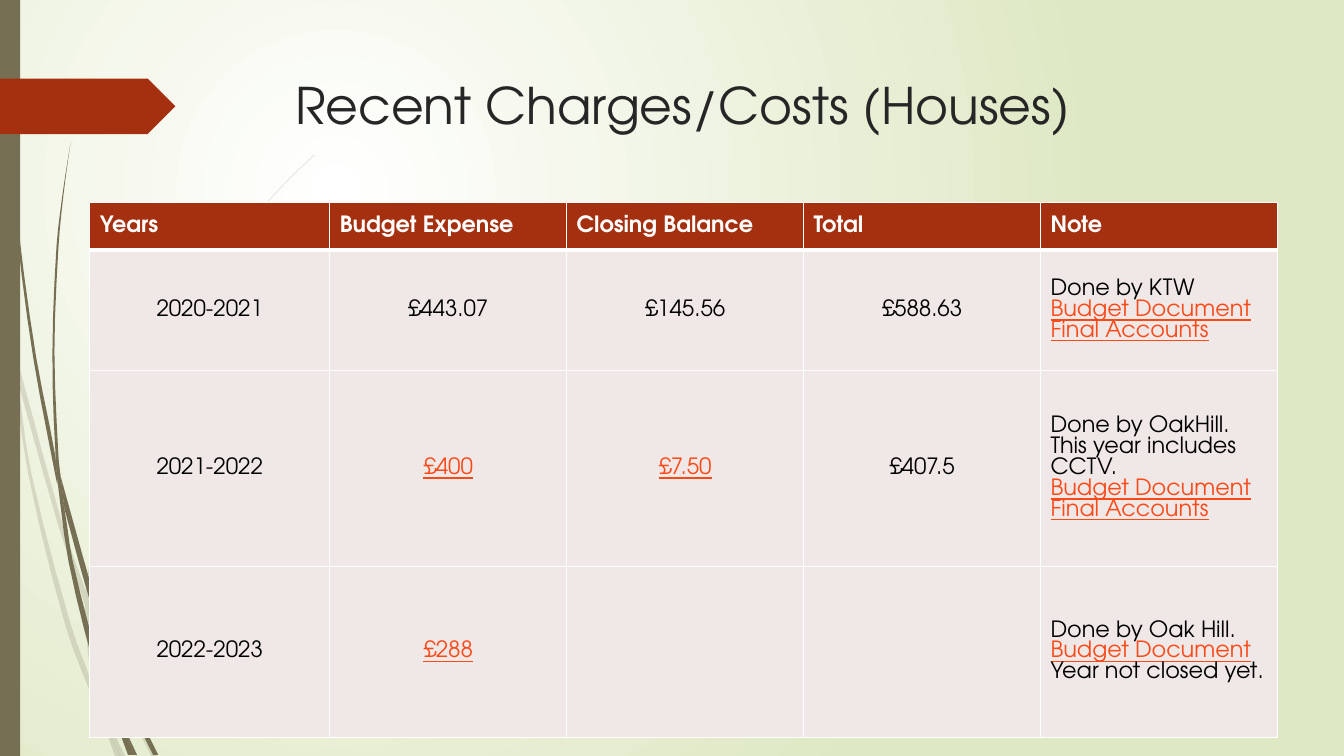
import math

import pptx
import pptx.dml.color
import pptx.enum.shapes
import pptx.enum.text
import pptx.oxml
import pptx.oxml.ns
import pptx.util
from pptx.util import Inches

FONT = "TeX Gyre Adventor"
COLORS = {
    "white": "FFFFFF", "green": "DFE8C4", "olive": "766F54", "rust": "A53010",
    "title": "262626", "text": "000000", "link": "FB4A18", "cell": "F0E8E7",
}
HEADERS = ["Years", "Budget Expense", "Closing Balance", "Total", "Note"]
# A leading underscore marks underlined text
ROWS = [
    ["2020-2021", "£443.07", "£145.56", "£588.63",
     "Done by KTW\n_Budget Document\n_Final Accounts"],
    ["2021-2022", "_£400", "_£7.50", "£407.5",
     "Done by OakHill. This year includes CCTV.\n_Budget Document\n_Final Accounts"],
    ["2022-2023", "_£288", "", "",
     "Done by Oak Hill.\n_Budget Document\nYear not closed yet."],
]
# Each blade of grass is a pair of smooth edges: out to the tip, and back
PALE_BLADES = [
    ([(.11, 3.5), (.09, 3.22), (0, 2.82)], [(0, 2.99), (.1, 3.44)]),
    ([(.14, 3.45), (.62, 5.2), (.85, 5.86)], [(.84, 5.99), (.58, 5.22), (.17, 3.76)]),
    ([(.88, 5.96), (.92, 6.07), (1.27, 6.92), (1.55, 7.5)],
     [(1.5, 7.5), (1.23, 6.94), (.88, 6.1)]),
    ([(1.05, 7.11), (1.24, 7.5)], [(1.19, 7.5), (1.05, 7.11)]),
    ([(.11, 3.5), (.17, 3.76), (.31, 4.69), (.7, 6.19), (.93, 6.83), (1.01, 7.14)],
     [(1.01, 7.14), (.92, 6.93), (.65, 6.21), (.28, 4.7), (.11, 3.5)]),
    ([(.84, 5.99), (.88, 6.1), (.91, 6.46), (1.03, 7.06), (1.05, 7.11)],
     [(1.05, 7.11), (.96, 6.92), (.93, 6.83), (.87, 6.46), (.84, 5.99)]),
    ([(.85, 5.86), (.85, 5.84), (1.07, 4.61), (1.58, 3.48), (2.28, 2.44),
      (2.68, 1.97), (2.89, 1.75), (3.12, 1.53)],
     [(3.12, 1.54), (2.9, 1.75), (2.68, 1.98), (2.29, 2.45), (1.6, 3.49),
      (1.1, 4.62), (.88, 5.84), (.88, 5.96)]),
    ([(1.01, 7.14), (1.14, 7.5)], [(1.19, 7.5), (1.01, 7.14)]),
    ([(.88, 6.1), (.88, 5.96), (.85, 5.86)], [(.84, 5.99), (.88, 6.08)]),
    ([(.93, 6.83), (.99, 7.07), (1.01, 7.14), (1.19, 7.5)],
     [(1.19, 7.5), (1.05, 7.11), (.96, 6.92), (.93, 6.83)]),
]
DARK_BLADES = [
    ([(.03, 0), (.04, .48), (.07, 1.1), (.17, 2.33), (.33, 3.55), (.56, 4.77), (.57, 4.81)],
     [(.57, 4.81), (.55, 4.53), (.36, 3.55), (.19, 2.32), (.08, 1.09), (.05, .48), (.04, 0)]),
    ([(.6, 4.72), (.93, 5.9), (1.06, 6.31)], [(1.06, 6.45), (.88, 5.92), (.64, 5.05)]),
    ([(1.1, 6.41), (1.13, 6.49), (1.36, 7.06), (1.57, 7.49)],
     [(1.52, 7.49), (1.32, 7.08), (1.11, 6.56)]),
    ([(.57, 4.77), (.64, 5.05), (.72, 5.56), (.98, 6.57), (1.1, 6.91), (1.17, 7.22)],
     [(1.17, 7.22), (1.11, 7.08), (.93, 6.59), (.68, 5.57), (.57, 4.77)]),
    ([(.6, 4.72), (.55, 4.49), (.52, 3.49), (.56, 2.45), (.62, 1.93), (.7, 1.41)],
     [(.7, 1.41), (.63, 1.93), (.58, 2.45), (.54, 3.49), (.58, 4.53), (.6, 4.72)]),
    ([(1.22, 7.19), (1.36, 7.49)], [(1.33, 7.49), (1.22, 7.19)]),
    ([(.55, 4.49), (.6, 4.72), (.64, 5.05)], [(.64, 5.05), (.57, 4.77), (.55, 4.49)]),
    ([(1.06, 6.31), (1.22, 5.51), (1.56, 4.74), (2.04, 4.05), (2.31, 3.73), (2.6, 3.44)],
     [(2.61, 3.44), (2.31, 3.74), (2.05, 4.06), (1.58, 4.76), (1.25, 5.52),
      (1.11, 6.33), (1.1, 6.41)]),
    ([(1.17, 7.22), (1.27, 7.49)], [(1.31, 7.49), (1.17, 7.22)]),
    ([(1.06, 6.45), (1.11, 6.56), (1.21, 7.16), (1.22, 7.19)],
     [(1.22, 7.19), (1.16, 7.06), (1.1, 6.91), (1.06, 6.45)]),
    ([(1.06, 6.45), (1.11, 6.56), (1.1, 6.41)], [(1.1, 6.41), (1.06, 6.31)]),
    ([(1.1, 6.91), (1.16, 7.06), (1.22, 7.19), (1.33, 7.49)],
     [(1.3, 7.49), (1.17, 7.22), (1.1, 6.91)]),
]


def color(name):
    return pptx.dml.color.RGBColor.from_string(COLORS[name])


def paint(shape, name):
    shape.shadow.inherit = False
    shape.fill.solid()
    shape.fill.fore_color.rgb = color(name)
    shape.line.fill.background()


def write(paragraph, text, color_name, **formats):
    run = paragraph.add_run()
    run.text = text
    run.font.color.rgb = color(color_name)
    for key, value in {"name": FONT, **formats}.items():
        setattr(run.font, key, value)


def smooth(points, steps=3):
    """Hermite curve through the points, with tangents along neighbouring chords."""
    last = len(points) - 1
    if last == 1:
        return points
    tangents = []
    for index in range(last + 1):
        near = points[max(index - 1, 0):index + 2]
        length = sum(math.dist(a, b) for a, b in zip(near, near[1:]))
        tangents.append([(near[-1][axis] - near[0][axis]) / length for axis in (0, 1)])
    curve = [points[0]]
    for index in range(last):
        start, end = points[index:index + 2]
        chord = math.dist(start, end)
        for step in range(1, steps + 1):
            t = step / steps
            blend = 3 * t**2 - 2 * t**3
            leave, arrive = chord * (t - 2 * t**2 + t**3), chord * (t**3 - t**2)
            curve.append(tuple(
                start[axis] * (1 - blend) + end[axis] * blend
                + tangents[index][axis] * leave + tangents[index + 1][axis] * arrive
                for axis in (0, 1)))
    return curve


def add_background(slide):
    fill = slide.background.fill
    fill.gradient()
    for stop, name, position in zip(fill.gradient_stops, ("white", "green"), (0, 1)):
        stop.color.rgb = color(name)
        stop.position = position
    linear = slide.element.find(".//" + pptx.oxml.ns.qn("a:lin"))
    linear.getparent().replace(linear, pptx.oxml.parse_xml(
        f'<a:path {pptx.oxml.ns.nsdecls("a")} path="circle">'
        '<a:fillToRect l="50000" t="50000" r="100000" b="100000"/></a:path>'))


def add_grass(slide, left, top, blades, alpha=None):
    for out, back in blades:
        outline = [(Inches(left + x), Inches(top + y)) for x, y in smooth(out) + smooth(back)]
        builder = slide.shapes.build_freeform(*outline[0])
        builder.add_line_segments(outline[1:], close=True)
        blade = builder.convert_to_shape()
        paint(blade, "olive")
        if alpha:
            tint = blade.element.spPr.find(".//" + pptx.oxml.ns.qn("a:srgbClr"))
            tint.append(pptx.oxml.parse_xml(
                f'<a:alpha {pptx.oxml.ns.nsdecls("a")} val="{alpha * 1000}"/>'))


def add_preset(slide, kind, name, *box):
    paint(slide.shapes.add_shape(kind, *map(Inches, box)), name)


def add_title(slide, text, *box):
    frame = slide.shapes.add_textbox(*map(Inches, box)).text_frame
    frame.word_wrap = True
    write(frame.paragraphs[0], text, "title", size=pptx.util.Pt(36))


def add_borders(cell, bottom):
    properties = cell._tc.get_or_add_tcPr()
    for index, (side, points) in enumerate(dict(L=1, R=1, T=1, B=bottom).items()):
        properties.insert(index, pptx.oxml.parse_xml(
            f'<a:ln{side} {pptx.oxml.ns.nsdecls("a")} w="{points * 12700}"><a:solidFill>'
            f'<a:srgbClr val="{COLORS["white"]}"/></a:solidFill></a:ln{side}>'))


def fill_cell(cell, text, header, centred):
    cell.fill.solid()
    cell.fill.fore_color.rgb = color("rust" if header else "cell")
    cell.vertical_anchor = pptx.enum.text.MSO_ANCHOR.MIDDLE
    for side in ("left", "top", "right", "bottom"):
        setattr(cell, "margin_" + side, Inches(0.1))
    add_borders(cell, 3 if header else 1)
    for index, line in enumerate(text.split("\n") if text else []):
        frame = cell.text_frame
        paragraph = frame.add_paragraph() if index else frame.paragraphs[0]
        if centred:
            paragraph.alignment = pptx.enum.text.PP_ALIGN.CENTER
        link = line.startswith("_")
        name = "white" if header else "link" if link else "text"
        write(paragraph, line.lstrip("_"), name,
              size=pptx.util.Pt(16), bold=header, underline=link)


def add_costs_table(slide, left, top, widths, heights):
    box = map(Inches, (left, top, sum(widths), sum(heights)))
    table = slide.shapes.add_table(len(heights), len(widths), *box).table
    for column, width in zip(table.columns, widths):
        column.width = Inches(width)
    for row, height in zip(table.rows, heights):
        row.height = Inches(height)
    for r, texts in enumerate([HEADERS] + ROWS):
        for c, text in enumerate(texts):
            fill_cell(table.cell(r, c), text, r == 0, r > 0 and c < len(HEADERS) - 1)


def main():
    presentation = pptx.Presentation()
    presentation.slide_width, presentation.slide_height = Inches(13.33), Inches(7.5)
    slide = presentation.slides.add_slide(presentation.slide_layouts[6])
    shapes = pptx.enum.shapes.MSO_SHAPE
    # Backdrop
    add_background(slide)
    add_grass(slide, 0, 0, PALE_BLADES, alpha=20)
    add_grass(slide, 0, 0, DARK_BLADES)
    add_preset(slide, shapes.RECTANGLE, "olive", 0, 0, 0.2, 7.5)
    add_preset(slide, shapes.PENTAGON, "rust", 0, 0.78, 1.74, 0.55)
    # Content
    add_title(slide, "Recent Charges/Costs (Houses)", 2.83, 0.69, 9.75, 1.4)
    add_costs_table(slide, 0.89, 2.01, [2.38] + [2.35] * 4, [0.45, 1.2, 1.94, 1.7])
    presentation.save("out.pptx")


if __name__ == "__main__":
    main()
